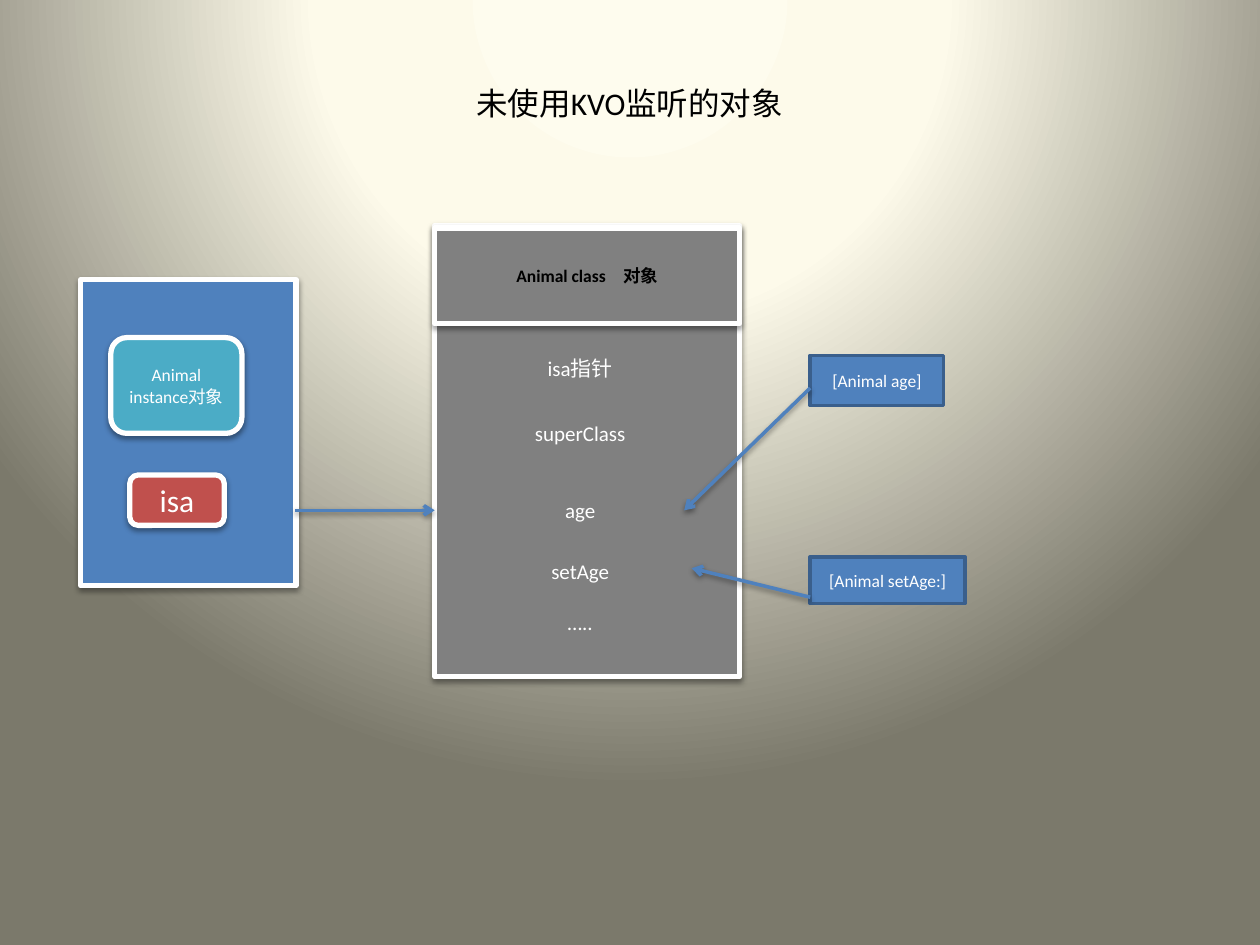
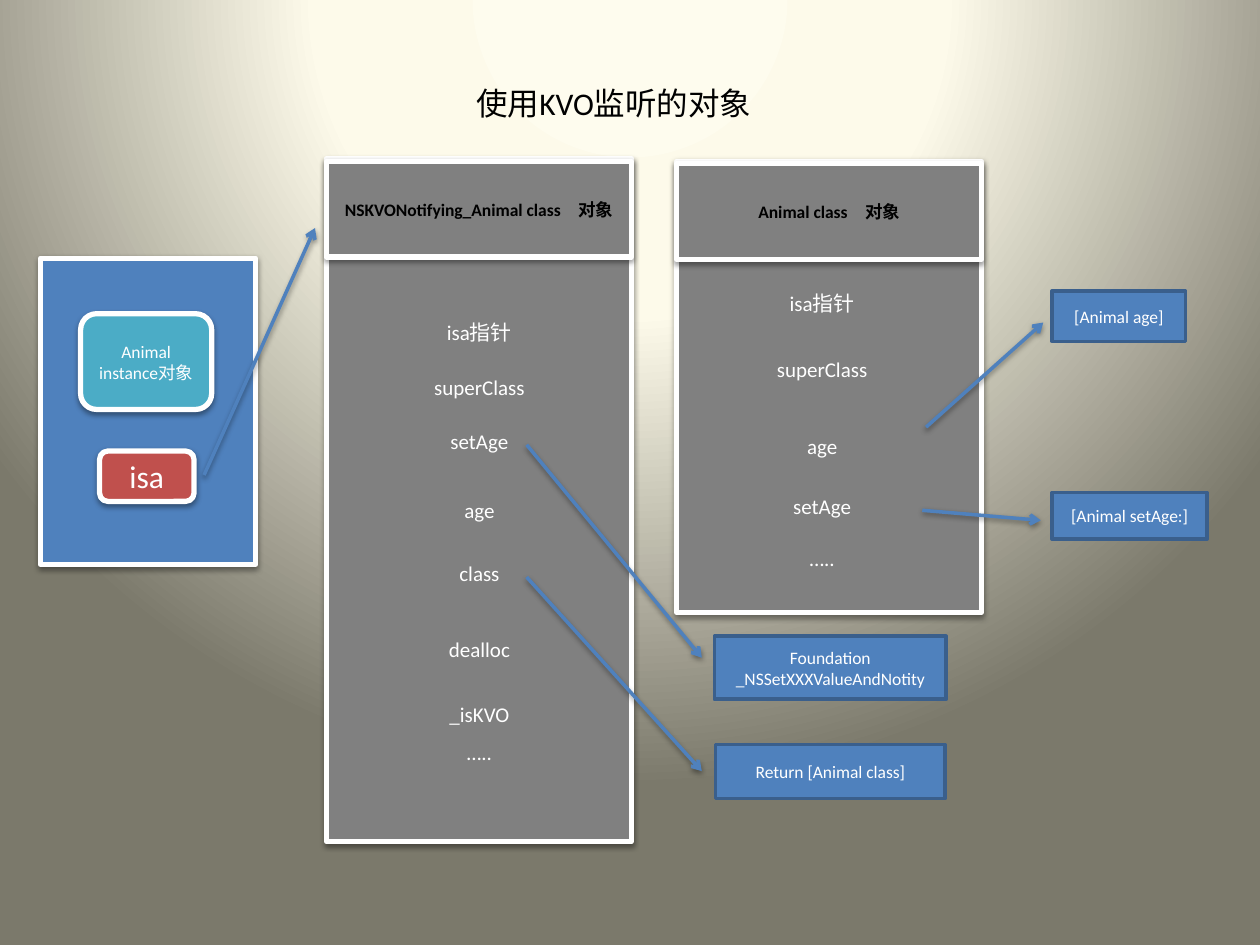
from dataclasses import dataclass

from pptx import Presentation
from pptx.dml.color import RGBColor
from pptx.enum.shapes import MSO_CONNECTOR, MSO_SHAPE
from pptx.enum.text import MSO_ANCHOR, MSO_AUTO_SIZE, PP_ALIGN
from pptx.oxml import parse_xml
from pptx.oxml.ns import nsdecls, qn
from pptx.util import Inches, Pt


@dataclass(frozen=True)
class Theme:
    """Colours, font and type sizes of both slides."""
    font: str = "Calibri"
    blue: RGBColor = RGBColor(0x4F, 0x81, 0xBD)
    blue_edge: RGBColor = RGBColor(0x3A, 0x5F, 0x8C)
    teal: RGBColor = RGBColor(0x4B, 0xAC, 0xC6)
    red: RGBColor = RGBColor(0xC0, 0x50, 0x4D)
    gray: RGBColor = RGBColor(0x80, 0x80, 0x80)
    white: RGBColor = RGBColor(0xFF, 0xFF, 0xFF)
    black: RGBColor = RGBColor(0, 0, 0)
    backdrop: tuple = ((0, "FEFCEE"), (40, "FDFAEA"), (100, "7B796B"))
    title_size: int = 18
    member_size: int = 12
    label_size: int = 10
    frame_width: int = 3
    line_width: int = 2


theme = Theme()

SHADOW = (
    f'<a:effectLst {nsdecls("a")}>'
    '<a:outerShdw blurRad="40000" dist="20000" dir="5400000" rotWithShape="0">'
    '<a:srgbClr val="000000"><a:alpha val="38000"/></a:srgbClr>'
    '</a:outerShdw></a:effectLst>'
)


def write(shape, text, size, color, align=PP_ALIGN.CENTER,
          anchor=MSO_ANCHOR.MIDDLE, bold=False):
    """Put text in a shape and format all its runs alike."""
    frame = shape.text_frame
    frame.text = text
    frame.word_wrap = True
    frame.auto_size = MSO_AUTO_SIZE.NONE
    frame.vertical_anchor = anchor
    for paragraph in frame.paragraphs:
        paragraph.alignment = align
        for run in paragraph.runs:
            run.font.name = theme.font
            run.font.size = Pt(size)
            run.font.bold = bold
            run.font.color.rgb = color


def add_block(slide, preset, box, fill, framed=True):
    """Add a filled block: white frame and shadow, or a plain blue edge."""
    block = slide.shapes.add_shape(preset, *map(Inches, box))
    block.fill.solid()
    block.fill.fore_color.rgb = fill
    block.line.color.rgb = theme.white if framed else theme.blue_edge
    block.line.width = Pt(theme.frame_width if framed else theme.line_width)
    block.shadow.inherit = False
    if framed:
        properties = block._element.spPr
        properties.replace(properties.find(qn("a:effectLst")), parse_xml(SHADOW))
    return block


CARD_WIDTH, HEADER_HEIGHT = 2.42, 0.76
MEMBER_INSET, MEMBER_WIDTH, MEMBER_HEIGHT = 0.45, 1.41, 0.3

# Members and methods of the Animal class, measured from the card's corner
animal_members = [("isa指针", 0.98), ("superClass", 1.5), ("age", 2.11),
                  ("setAge", 2.59), ("…..", 3)]
animal_methods = [("[Animal setAge:]", 2.98, 2.63, 1.23, 0.37),
                  ("[Animal age]", 2.98, 1.03, 1.06, 0.4)]
notifying_members = [("isa指针", 1.23), ("superClass", 1.66), ("setAge", 2.09),
                     ("age", 2.64), ("class", 3.14), ("dealloc", 3.74),
                     ("_isKVO", 4.26), ("…..", 4.56)]
notifying_methods = [("Foundation\n_NSSetXXXValueAndNotity", 3.08, 3.79, 1.84, 0.5),
                     ("Return [Animal class]", 3.09, 4.65, 1.82, 0.43)]

# A card: header, left, top, height, members, methods
diagrams = [
    {
        "title": "未使用KVO监听的对象", "title_width": 2.66,
        "instance": (0.64, 2.22), "instance_label": (0.88, 2.68),
        "cards": [("Animal class\u3000对象", 3.45, 1.79, 3.58,
                   animal_members, animal_methods)],
        "arrows": [(6.43, 4.74, 5.49, 4.51), (6.43, 3.08, 5.43, 4.05),
                   (2.34, 4.05, 3.45, 4.05)],
    },
    {
        "title": "使用KVO监听的对象", "title_width": 2.41,
        "instance": (0.32, 2.05), "instance_label": (0.64, 2.49),
        "cards": [("Animal class\u3000对象", 5.37, 1.28, 3.58,
                   animal_members, animal_methods),
                  ("NSKVONotifying_Animal class\u3000对象", 2.59, 1.26, 5.42,
                   notifying_members, notifying_methods)],
        "arrows": [(7.32, 4.05, 8.26, 4.13), (7.35, 3.39, 8.28, 2.56),
                   (4.18, 3.53, 5.57, 5.22), (4.18, 4.58, 5.57, 6.12),
                   (1.62, 3.77, 2.5, 1.81)],
    },
]

prs = Presentation()
prs.slide_width, prs.slide_height = Inches(10), Inches(7.5)

# Shared backdrop: a circular gradient on the master
master = prs.slide_master
master.background.fill.solid()
stops = "".join(f'<a:gs pos="{place * 1000}"><a:srgbClr val="{color}"/></a:gs>'
                for place, color in theme.backdrop)
gradient = parse_xml(
    f'<a:gradFill {nsdecls("a")} rotWithShape="1"><a:gsLst>{stops}</a:gsLst>'
    '<a:path path="circle">'
    '<a:fillToRect l="50000" t="-80000" r="50000" b="180000"/>'
    '</a:path></a:gradFill>'
)
solid = next(master._element.cSld.iter(qn("a:solidFill")))
solid.getparent().replace(solid, gradient)

title_only = prs.slide_layouts[5]

for diagram in diagrams:
    slide = prs.slides.add_slide(title_only)

    title = slide.shapes.title
    title.left, title.top = Inches(3.68), Inches(0.62)
    title.width, title.height = Inches(diagram["title_width"]), Inches(0.4)
    write(title, diagram["title"], theme.title_size, theme.black,
          PP_ALIGN.LEFT, MSO_ANCHOR.TOP)

    # The instance with its isa pointer
    add_block(slide, MSO_SHAPE.RECTANGLE, (*diagram["instance"], 1.71, 2.43), theme.blue)
    label_left, label_top = diagram["instance_label"]
    instance_label = add_block(slide, MSO_SHAPE.ROUNDED_RECTANGLE,
                               (label_left, label_top, 1.04, 0.76), theme.teal)
    write(instance_label, "Animal instance对象", theme.label_size, theme.white)
    isa = add_block(slide, MSO_SHAPE.ROUNDED_RECTANGLE,
                    (label_left + 0.15, label_top + 1.09, 0.75, 0.4), theme.red)
    write(isa, "isa", theme.title_size, theme.white)

    # Class cards with their members and the methods they lead to
    for heading, left, top, height, members, methods in diagram["cards"]:
        add_block(slide, MSO_SHAPE.RECTANGLE, (left, top, CARD_WIDTH, height), theme.gray)
        header = add_block(slide, MSO_SHAPE.RECTANGLE,
                           (left, top + 0.02, CARD_WIDTH, HEADER_HEIGHT), theme.gray)
        write(header, heading, theme.label_size, theme.black, bold=True)

        member_left = left + (0.51 if members is notifying_members else MEMBER_INSET)
        for name, offset in members:
            member = slide.shapes.add_textbox(
                Inches(member_left), Inches(top + offset),
                Inches(MEMBER_WIDTH), Inches(MEMBER_HEIGHT))
            write(member, name, theme.member_size, theme.white, anchor=MSO_ANCHOR.TOP)

        for call, dx, dy, width, call_height in methods:
            method = add_block(slide, MSO_SHAPE.RECTANGLE,
                               (left + dx, top + dy, width, call_height),
                               theme.blue, framed=False)
            write(method, call, theme.label_size, theme.white)

    for ends in diagram["arrows"]:
        arrow = slide.shapes.add_connector(MSO_CONNECTOR.STRAIGHT, *map(Inches, ends))
        arrow.line.color.rgb = theme.blue
        arrow.line.width = Pt(theme.line_width)
        properties = arrow._element.spPr
        properties.find(qn("a:ln")).append(
            parse_xml(f'<a:tailEnd {nsdecls("a")} type="arrow"/>'))
        properties.append(parse_xml(SHADOW))

prs.save("out.pptx")
